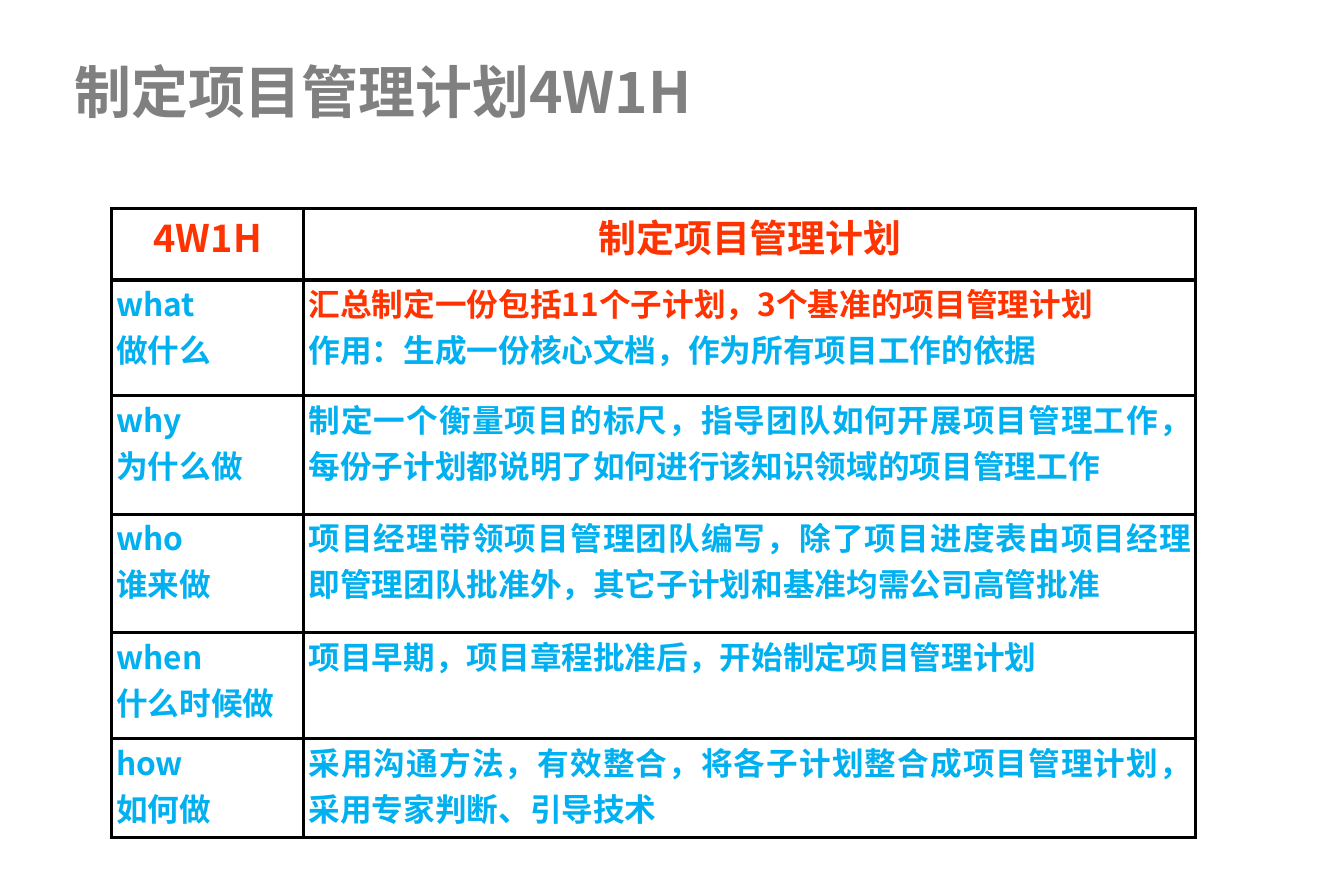
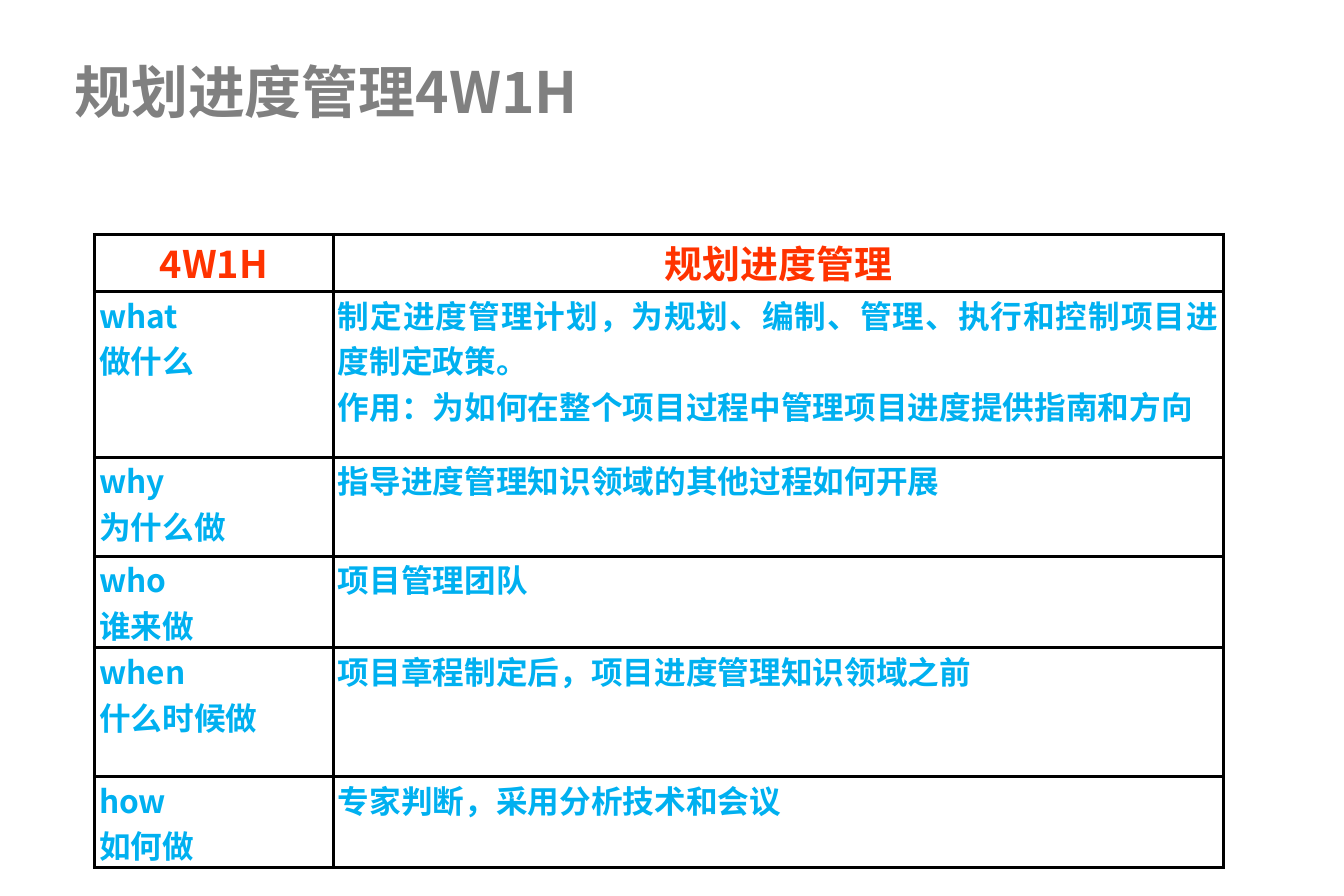
from dataclasses import dataclass

from lxml import etree
from pptx import Presentation
from pptx.dml.color import RGBColor
from pptx.enum.text import MSO_ANCHOR, PP_ALIGN
from pptx.oxml.ns import qn
from pptx.util import Pt

CENTER, JUSTIFY, LEFT = PP_ALIGN.CENTER, PP_ALIGN.JUSTIFY, PP_ALIGN.LEFT
MIDDLE, TOP = MSO_ANCHOR.MIDDLE, MSO_ANCHOR.TOP

FONT = "Noto Sans CJK SC"
COLORS = {"title": "808080", "accent": "FF3300", "body": "00B0F0",
          "border": "000000", "cell": "FFFFFF"}
BORDER_WIDTH = Pt(2.25)
TITLE_MARGINS = {"margin_left": Pt(8), "margin_right": Pt(8),
                 "margin_top": Pt(4), "margin_bottom": Pt(4)}
CELL_MARGINS = {"margin_left": Pt(2.9), "margin_right": Pt(2.9),
                "margin_top": 0, "margin_bottom": 0}
QUESTIONS = [("what", "做什么"), ("why", "为什么做"), ("who", "谁来做"),
             ("when", "什么时候做"), ("how", "如何做")]


@dataclass(frozen=True)
class Line:
    text: str
    color: str = "body"
    size: float = 20
    align: PP_ALIGN = JUSTIFY


@dataclass(frozen=True)
class Plan:
    name: str
    left: float
    top: float
    cols: list[float]
    rows: list[float]
    answers: list[list[Line]]


PLANS = [
    Plan("制定项目管理计划", 70.6, 131.8, [121.7, 564.5],
         [45.4, 73.2, 75, 75, 67, 62.6],
         [[Line("汇总制定一份包括11个子计划，3个基准的项目管理计划", "accent"),
           Line("作用：生成一份核心文档，作为所有项目工作的依据")],
          [Line("制定一个衡量项目的标尺，指导团队如何开展项目管理工作，"
                "每份子计划都说明了如何进行该知识领域的项目管理工作")],
          [Line("项目经理带领项目管理团队编写，除了项目进度表由项目经理"
                "即管理团队批准外，其它子计划和基准均需公司高管批准")],
          [Line("项目早期，项目章程批准后，开始制定项目管理计划")],
          [Line("采用沟通方法，有效整合，将各子计划整合成项目管理计划，"
                "采用专家判断、引导技术")]]),
    Plan("规划进度管理", 59.8, 148.3, [151.2, 563],
         [36, 105, 62.6, 58, 81.4, 58],
         [[Line("制定进度管理计划，为规划、编制、管理、执行和控制项目进度制定政策。"),
           Line("作用：为如何在整个项目过程中管理项目进度提供指南和方向")],
          [Line("指导进度管理知识领域的其他过程如何开展")],
          [Line("项目管理团队")],
          [Line("项目章程制定后，项目进度管理知识领域之前")],
          [Line("专家判断，采用分析技术和会议")]]),
]


def apply(obj, values: dict) -> None:
    for name, value in values.items():
        setattr(obj, name, value)


def write(tf, lines: list[Line]) -> None:
    for i, line in enumerate(lines):
        p = tf.paragraphs[0] if i == 0 else tf.add_paragraph()
        p.alignment = line.align
        r = p.add_run()
        r.text = line.text
        apply(r.font, {"name": FONT, "size": Pt(line.size), "bold": True})
        r.font.color.rgb = RGBColor.from_string(COLORS[line.color])
        # East Asian typeface
        etree.SubElement(r.font._element, qn("a:ea"), typeface=FONT)


def add_title(slide, text: str) -> None:
    sp = slide.shapes.add_textbox(Pt(39), Pt(35.3), Pt(765), Pt(44.6))
    tf = sp.text_frame
    apply(tf, {"word_wrap": True, "vertical_anchor": MIDDLE, **TITLE_MARGINS})
    write(tf, [Line(text, "title", 36, LEFT)])


def fill_cell(cell, lines: list[Line]) -> None:
    apply(cell, {"vertical_anchor": TOP, **CELL_MARGINS})
    # Borders go before the fill
    tc_pr = cell._tc.get_or_add_tcPr()
    for side in ("lnL", "lnR", "lnT", "lnB"):
        ln = etree.SubElement(tc_pr, qn(f"a:{side}"), w=str(BORDER_WIDTH))
        solid = etree.SubElement(ln, qn("a:solidFill"))
        etree.SubElement(solid, qn("a:srgbClr"), val=COLORS["border"])
    cell.fill.solid()
    cell.fill.fore_color.rgb = RGBColor.from_string(COLORS["cell"])
    write(cell.text_frame, lines)


def add_plan_table(slide, plan: Plan) -> None:
    table = slide.shapes.add_table(
        len(plan.rows), len(plan.cols), Pt(plan.left), Pt(plan.top),
        Pt(sum(plan.cols)), Pt(sum(plan.rows))).table
    apply(table, {"first_row": False, "horz_banding": False})
    for col, width in zip(table.columns, plan.cols):
        col.width = Pt(width)
    for row, height in zip(table.rows, plan.rows):
        row.height = Pt(height)

    header = [[Line(text, "accent", 24, CENTER)] for text in ("4W1H", plan.name)]
    body = [[[Line(text) for text in question], answer]
            for question, answer in zip(QUESTIONS, plan.answers)]
    for row, contents in zip(table.rows, [header, *body]):
        for cell, lines in zip(row.cells, contents):
            fill_cell(cell, lines)


def main() -> None:
    prs = Presentation()
    prs.slide_width, prs.slide_height = Pt(850.5), Pt(567)
    for plan in PLANS:
        slide = prs.slides.add_slide(prs.slide_layouts[6])
        add_title(slide, f"{plan.name}4W1H")
        add_plan_table(slide, plan)
    prs.save("out.pptx")


if __name__ == "__main__":
    main()
